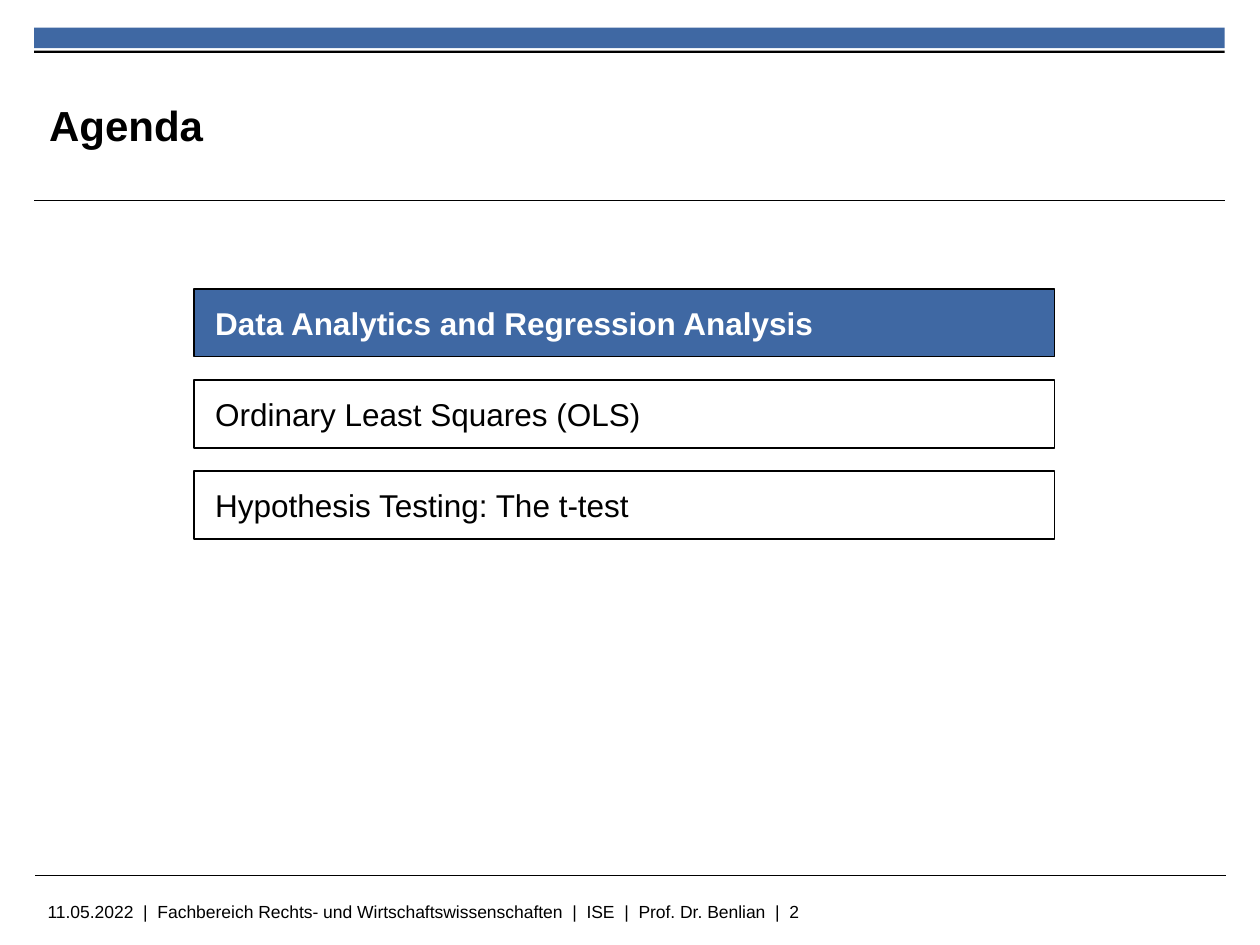
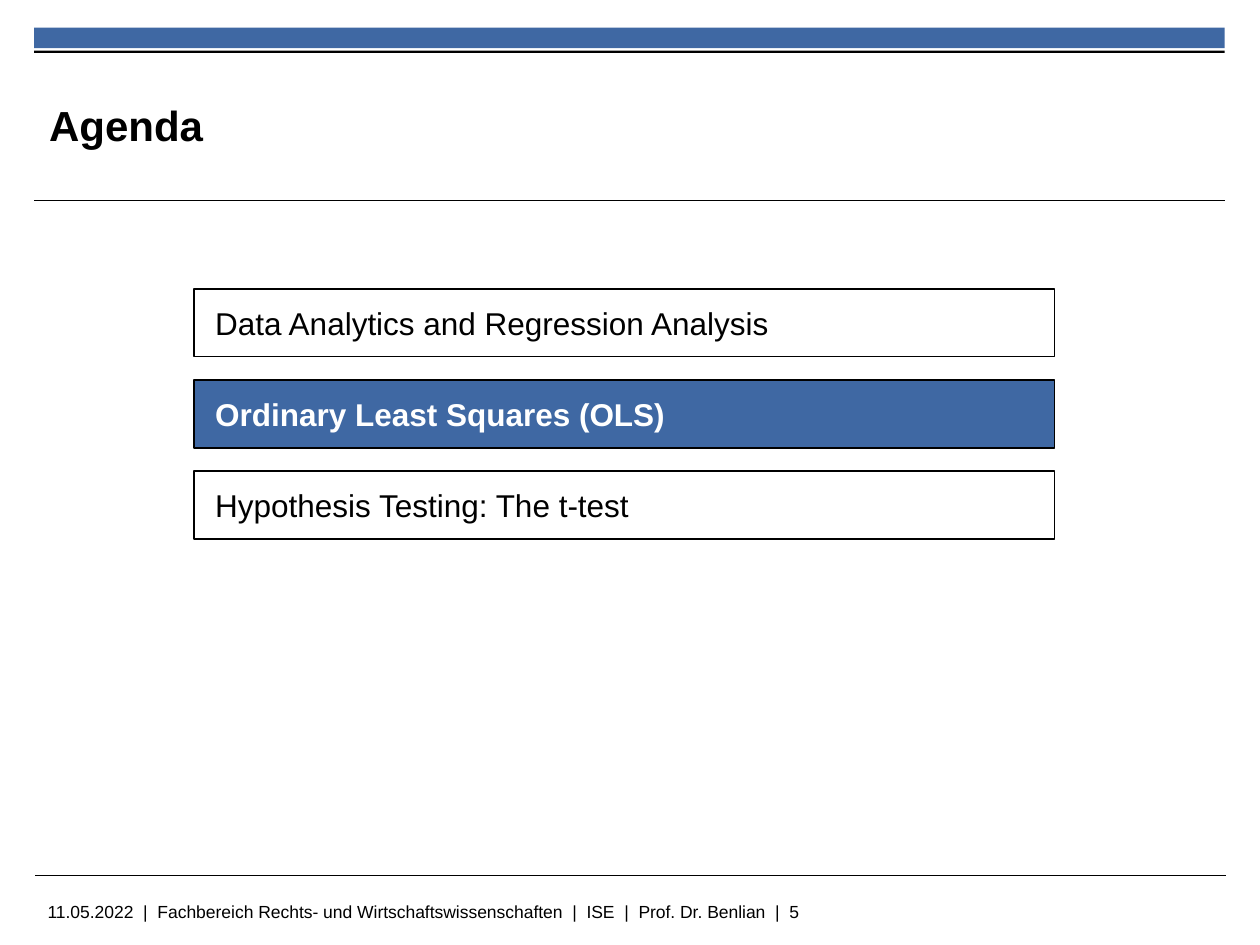
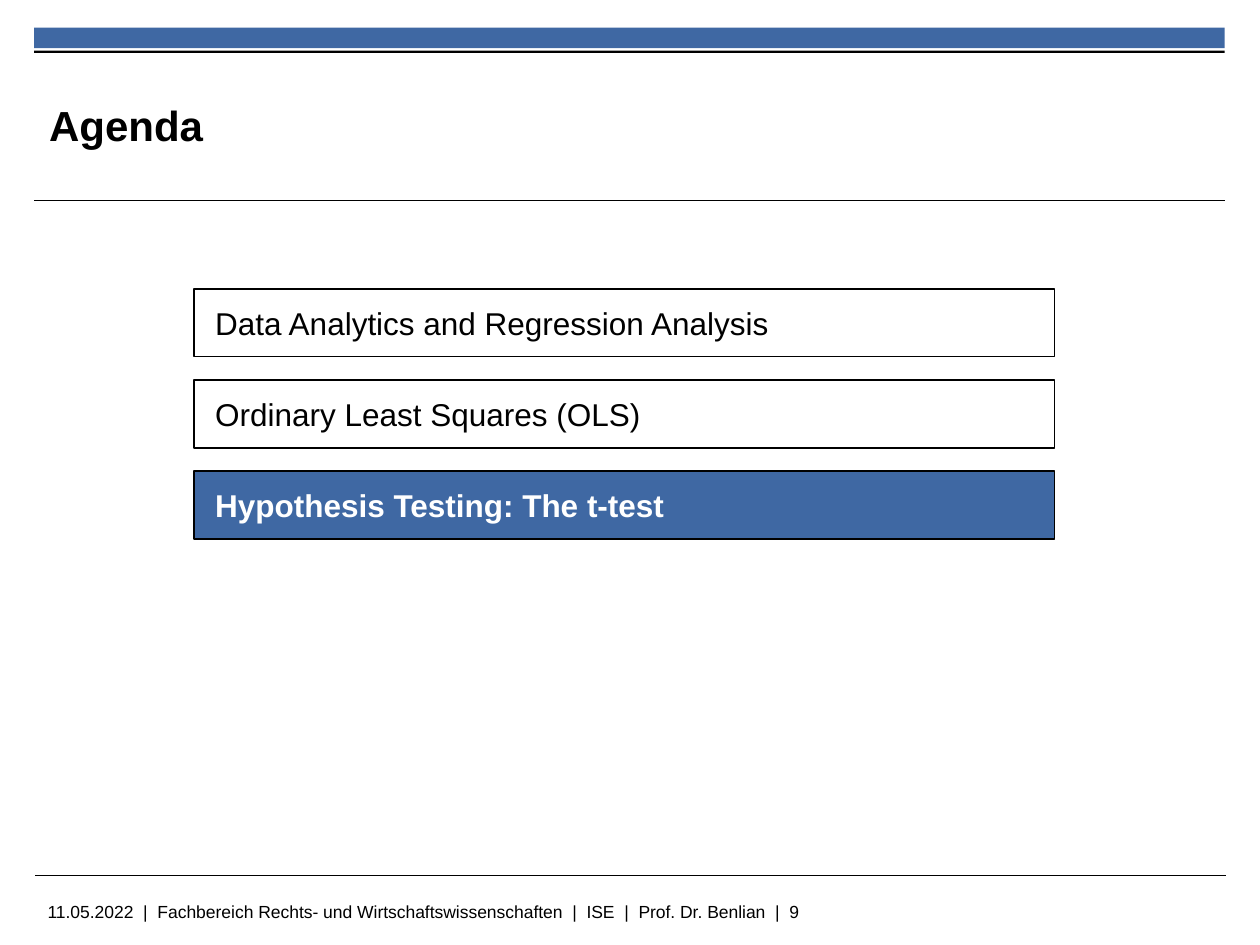
from lxml import etree
from pptx import Presentation
from pptx.dml.color import RGBColor
from pptx.enum.shapes import MSO_CONNECTOR, MSO_SHAPE
from pptx.enum.text import MSO_ANCHOR, MSO_AUTO_SIZE, PP_ALIGN
from pptx.oxml.ns import qn
from pptx.util import Cm, Pt

RECTANGLE = MSO_SHAPE.RECTANGLE
STRAIGHT = MSO_CONNECTOR.STRAIGHT
TOP, MIDDLE = MSO_ANCHOR.TOP, MSO_ANCHOR.MIDDLE
LEFT = PP_ALIGN.LEFT
NO_FIT, GROW = MSO_AUTO_SIZE.NONE, MSO_AUTO_SIZE.SHAPE_TO_FIT_TEXT

# Content
TITLE = "Agenda"
TOPICS = [
    "Data Analytics and Regression Analysis",
    "Ordinary Least Squares (OLS)",
    "Hypothesis Testing: The t-test",
]
FOOTER_PARTS = ["11.05.2022", "Fachbereich Rechts- und Wirtschaftswissenschaften",
                "ISE", "Prof. Dr. Benlian"]
AGENDA_SLIDES = [  # (page number, index of the current topic)
    (2, 0),
    (5, 1),
    (9, 2),
]

# Shared style, lengths in centimetres
FONT = "Arial"
BLUE, BLACK, WHITE = "3F68A3", "000000", "FFFFFF"
MARGIN, CONTENT_WIDTH = 0.69, 24.0
TITLE_RULE_Y, FOOTER_RULE_Y = 4.04, 17.65
BOX_LEFT, BOX_TOP, BOX_WIDTH, BOX_HEIGHT = 3.91, 5.82, 17.35, 1.37
BOX_PITCH = 1.84
LABEL_INSET, LABEL_WIDTH, LABEL_HEIGHT = 0.18, 16.61, 1.02


def color(hex_value):
    return RGBColor.from_string(hex_value)


def write(frame, text, size=18, ink=BLACK, bold=False, anchor=TOP, fit=NO_FIT):
    frame.word_wrap = True
    frame.auto_size = fit
    frame.vertical_anchor = anchor
    paragraph = frame.paragraphs[0]
    paragraph.alignment = LEFT
    run = paragraph.add_run()
    run.text = text
    run.font.name = FONT
    run.font.size = Pt(size)
    run.font.bold = bold
    run.font.color.rgb = color(ink)


def add_text(slide, left, top, width, height, text, **style):
    holder = slide.shapes.add_textbox(Cm(left), Cm(top), Cm(width), Cm(height))
    write(holder.text_frame, text, **style)


def add_box(slide, left, top, width, height, fill=None, outline=None):
    box = slide.shapes.add_shape(RECTANGLE, Cm(left), Cm(top), Cm(width), Cm(height))
    box.shadow.inherit = False
    if fill:
        box.fill.solid()
        box.fill.fore_color.rgb = color(fill)
    else:
        box.fill.background()
    if outline:
        box.line.color.rgb = color(outline)
        box.line.width = Pt(1)
    else:
        box.line.fill.background()


def add_rule(slide, left, y):
    rule = slide.shapes.add_connector(
        STRAIGHT, Cm(left), Cm(y), Cm(left + CONTENT_WIDTH), Cm(y))
    rule.line.color.rgb = color(BLACK)
    rule.line.width = Pt(0.6)
    etree.SubElement(rule._element.spPr, qn("a:effectLst"))


def add_frame(slide, page):
    """Header band, rules, footer and title shared by all slides."""
    add_box(slide, MARGIN, 0.56, CONTENT_WIDTH, 0.41, fill=BLUE)
    add_rule(slide, MARGIN, TITLE_RULE_Y)
    add_box(slide, MARGIN, 1.02, CONTENT_WIDTH, 0.05, fill=BLACK)
    add_rule(slide, MARGIN + 0.02, FOOTER_RULE_Y)
    footer = "  |  ".join(FOOTER_PARTS + [str(page)])
    add_text(slide, 0.71, 18.03, 20.02, 0.64, footer, size=10)

    title = slide.shapes.title
    title.left, title.top, title.width, title.height = (
        Cm(0.99), Cm(1.35), Cm(18.44), Cm(2.34))
    frame = title.text_frame
    frame.margin_left = frame.margin_right = frame.margin_top = frame.margin_bottom = 0
    write(frame, TITLE, size=24, bold=True, anchor=MIDDLE)


def add_agenda(slide, current):
    """Stack of topic boxes with the current one highlighted."""
    for index, topic in enumerate(TOPICS):
        top = BOX_TOP + index * BOX_PITCH
        active = index == current
        add_box(slide, BOX_LEFT, top, BOX_WIDTH, BOX_HEIGHT,
                fill=BLUE if active else None, outline=BLACK)
        add_text(slide, BOX_LEFT + LABEL_INSET, top + LABEL_INSET,
                 LABEL_WIDTH, LABEL_HEIGHT, topic,
                 ink=WHITE if active else BLACK, bold=active, fit=GROW)


def main():
    deck = Presentation()
    deck.slide_width, deck.slide_height = Cm(25.4), Cm(19.05)
    title_only = deck.slide_layouts[5]
    for page, current in AGENDA_SLIDES:
        slide = deck.slides.add_slide(title_only)
        add_frame(slide, page)
        add_agenda(slide, current)
    deck.save("out.pptx")


if __name__ == "__main__":
    main()
